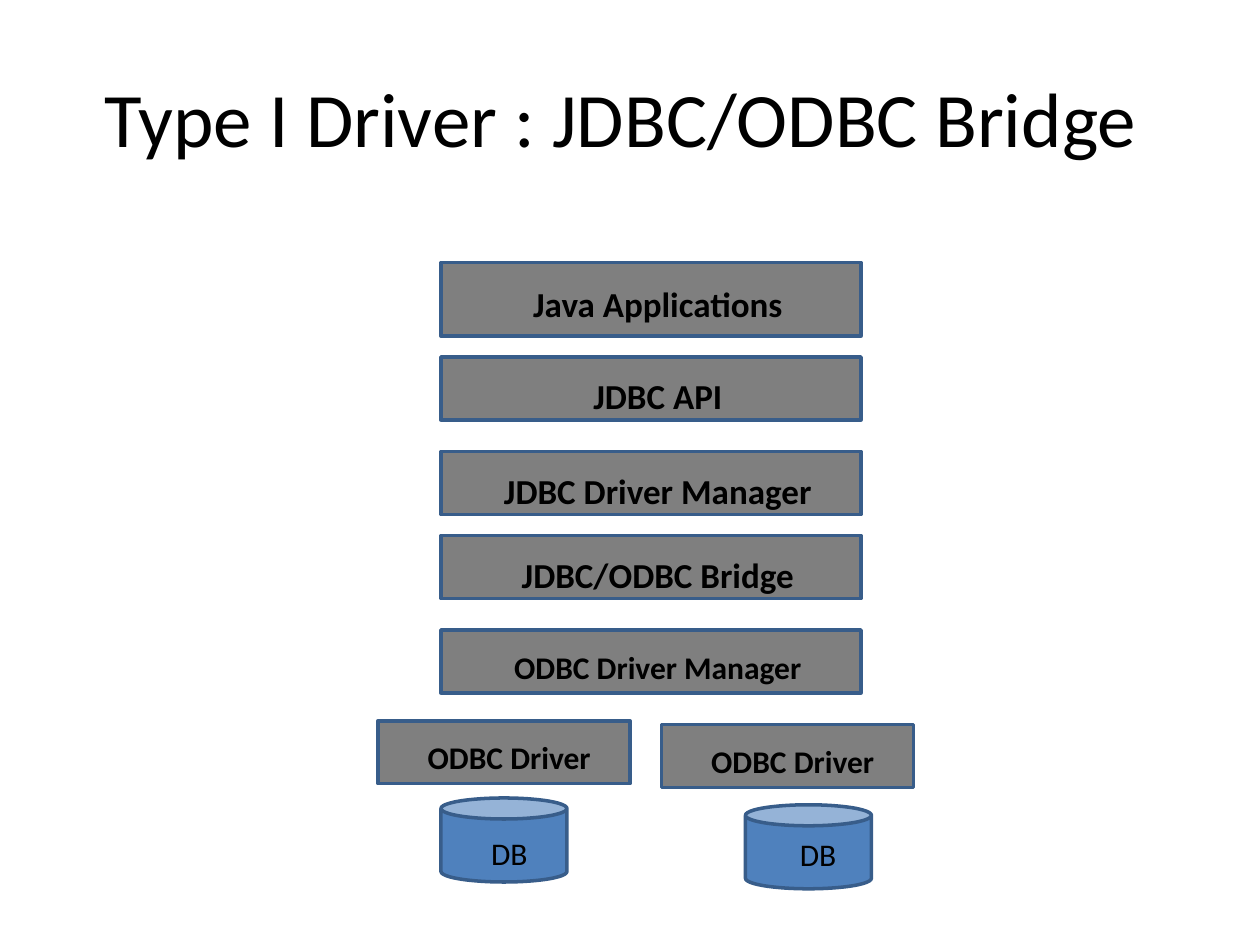
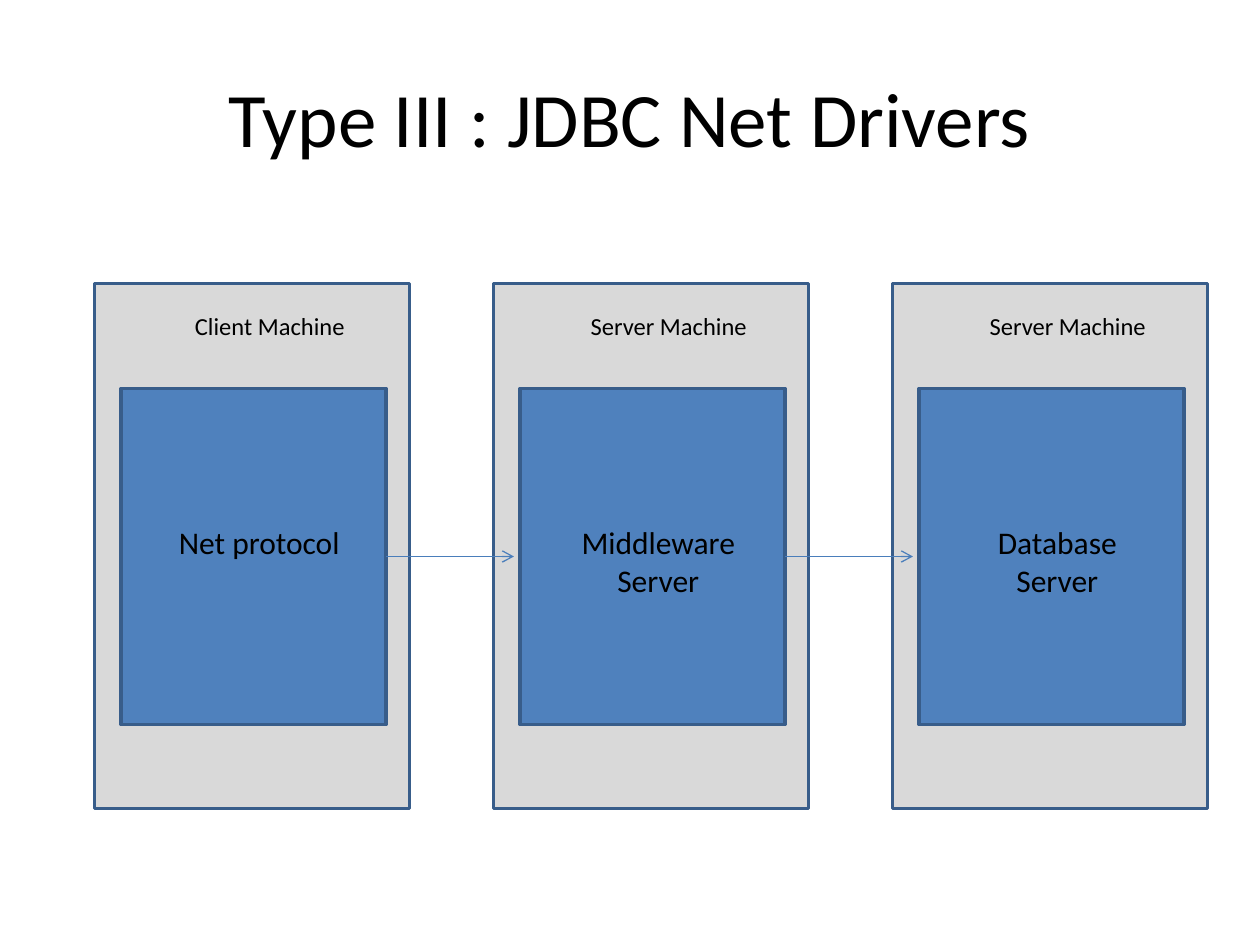
from collections import namedtuple

from lxml import etree
from pptx import Presentation
from pptx.dml.color import RGBColor
from pptx.enum.shapes import MSO_CONNECTOR, MSO_SHAPE
from pptx.enum.text import MSO_ANCHOR, MSO_AUTO_SIZE, PP_ALIGN
from pptx.oxml.ns import qn
from pptx.util import Inches, Pt

FONT = "Calibri"
BLACK = RGBColor(0x00, 0x00, 0x00)
LAYER_GREY = RGBColor(0x7F, 0x7F, 0x7F)
MACHINE_GREY = RGBColor(0xD9, 0xD9, 0xD9)
BLUE = RGBColor(0x4F, 0x81, 0xBD)
OUTLINE_BLUE = RGBColor(0x38, 0x5D, 0x8A)
ARROW_BLUE = RGBColor(0x4A, 0x7E, 0xBB)

SLIDE_WIDTH, SLIDE_HEIGHT = Inches(10), Inches(7.5)
COLUMN, ROW = SLIDE_WIDTH / 120, SLIDE_HEIGHT / 90

# All boxes are measured in columns and rows of the slide grid.
Box = namedtuple("Box", "left top width height")
TITLE_BOX = Box(6, 3.6, 108, 15)

DRIVER_LAYERS = [
    # text, box, text size
    ("Java Applications", Box(42, 25, 40, 7), 20),
    ("JDBC API", Box(42, 34, 40, 6), 20),
    ("JDBC Driver Manager", Box(42, 43, 40, 6), 20),
    ("JDBC/ODBC Bridge", Box(42, 51, 40, 6), 20),
    ("ODBC Driver Manager", Box(42, 60, 40, 6), 18),
    ("ODBC Driver", Box(36, 68.65, 24, 6), 18),
    ("ODBC Driver", Box(63, 69, 24, 6), 18),
]
DATABASES = [
    # box, label offset
    (Box(42, 76, 12, 8), (3.6, 2.8)),
    (Box(71, 76.65, 12, 8), (4, 2.3)),
]
MACHINES = [
    ("Client Machine", "Net protocol"),
    ("Server Machine", "Middleware Server"),
    ("Server Machine", "Database Server"),
]
FIRST_MACHINE = Box(9, 27, 30, 50)
MACHINE_PITCH = 38
ROLE_BOX = Box(2.55, 10, 25.2, 32)  # relative to its machine
ARROW_ROW = 26  # relative to its machine
ARROW_GAP = 0.6


def to_lengths(box):
    return (round(box.left * COLUMN), round(box.top * ROW),
            round(box.width * COLUMN), round(box.height * ROW))


def inside(outer, inner):
    """Move a box given relative to another one onto the slide grid."""
    return inner._replace(left=outer.left + inner.left, top=outer.top + inner.top)


def set_attributes(target, values):
    for name, value in values.items():
        setattr(target, name, value)


def format_text(text_frame, text, size, bold=False, align=PP_ALIGN.CENTER):
    text_frame.text = text
    paragraph = text_frame.paragraphs[0]
    paragraph.alignment = align
    font = paragraph.runs[0].font
    set_attributes(font, {"name": FONT, "size": Pt(size), "bold": bold})
    font.color.rgb = BLACK


def add_panel(shapes, kind, box, fill):
    panel = shapes.add_shape(kind, *to_lengths(box))
    panel.shadow.inherit = False
    panel.fill.solid()
    panel.fill.fore_color.rgb = fill
    panel.line.color.rgb = OUTLINE_BLUE
    panel.line.width = Pt(2)


def add_label(shapes, text, box, size, **text_format):
    label = shapes.add_textbox(*to_lengths(box))
    set_attributes(label.text_frame, {
        "word_wrap": True,
        "auto_size": MSO_AUTO_SIZE.SHAPE_TO_FIT_TEXT,
        "vertical_anchor": MSO_ANCHOR.TOP,
    })
    format_text(label.text_frame, text, size, **text_format)


def add_arrow(shapes, start, end, row):
    arrow = shapes.add_connector(
        MSO_CONNECTOR.STRAIGHT, round(start * COLUMN), round(row * ROW),
        round(end * COLUMN), round(row * ROW))
    arrow.line.color.rgb = ARROW_BLUE
    arrow.line.width = Pt(0.75)
    etree.SubElement(arrow.line._get_or_add_ln(), qn("a:tailEnd"), type="arrow")
    etree.SubElement(arrow._element.spPr, qn("a:effectLst"))


def add_titled_slide(presentation, title_text):
    slide = presentation.slides.add_slide(presentation.slide_layouts[5])
    title = slide.shapes.title
    set_attributes(title, dict(zip(Box._fields, to_lengths(TITLE_BOX))))
    title.text_frame.vertical_anchor = MSO_ANCHOR.MIDDLE
    format_text(title.text_frame, title_text, 44)
    return slide


def add_driver_layer(slide, text, box, size):
    group = slide.shapes.add_group_shape()
    add_panel(group.shapes, MSO_SHAPE.RECTANGLE, box, LAYER_GREY)
    left, width = (4.5, 32.3) if box.width == 40 else (2.8, 19.4)
    top = box.height / 5.5
    label_box = inside(box, Box(left, top, width, size * 0.265))
    add_label(group.shapes, text, label_box, size, bold=True)


def add_database(slide, box, label_offset):
    add_panel(slide.shapes, MSO_SHAPE.CAN, box, BLUE)
    label_box = inside(box, Box(*label_offset, 7, 4.8))
    add_label(slide.shapes, "DB", label_box, 18, align=PP_ALIGN.LEFT)


def add_machine(slide, box, name, role):
    add_panel(slide.shapes, MSO_SHAPE.RECTANGLE, box, MACHINE_GREY)
    add_panel(slide.shapes, MSO_SHAPE.RECTANGLE, inside(box, ROLE_BOX), BLUE)
    add_label(slide.shapes, role, inside(box, Box(6, 22.2, 19.4, 4.8)), 18)
    add_label(slide.shapes, name, inside(box, Box(7, 2, 19.4, 4.1)), 14)


def build_bridge_slide(presentation):
    slide = add_titled_slide(presentation, "Type I Driver : JDBC/ODBC Bridge ")
    for text, box, size in DRIVER_LAYERS:
        add_driver_layer(slide, text, box, size)
    for box, label_offset in DATABASES:
        add_database(slide, box, label_offset)


def build_net_driver_slide(presentation):
    slide = add_titled_slide(presentation, "Type III : JDBC Net Drivers")
    boxes = [FIRST_MACHINE._replace(left=FIRST_MACHINE.left + index * MACHINE_PITCH)
             for index in range(len(MACHINES))]
    for box, (name, role) in zip(boxes, MACHINES):
        add_machine(slide, box, name, role)
    for sender, receiver in zip(boxes, boxes[1:]):
        start = sender.left + ROLE_BOX.left + ROLE_BOX.width
        end = receiver.left + ROLE_BOX.left - ARROW_GAP
        add_arrow(slide.shapes, start, end, sender.top + ARROW_ROW)


def main():
    presentation = Presentation()
    set_attributes(presentation, {"slide_width": SLIDE_WIDTH, "slide_height": SLIDE_HEIGHT})
    build_bridge_slide(presentation)
    build_net_driver_slide(presentation)
    presentation.save("out.pptx")


if __name__ == "__main__":
    main()
